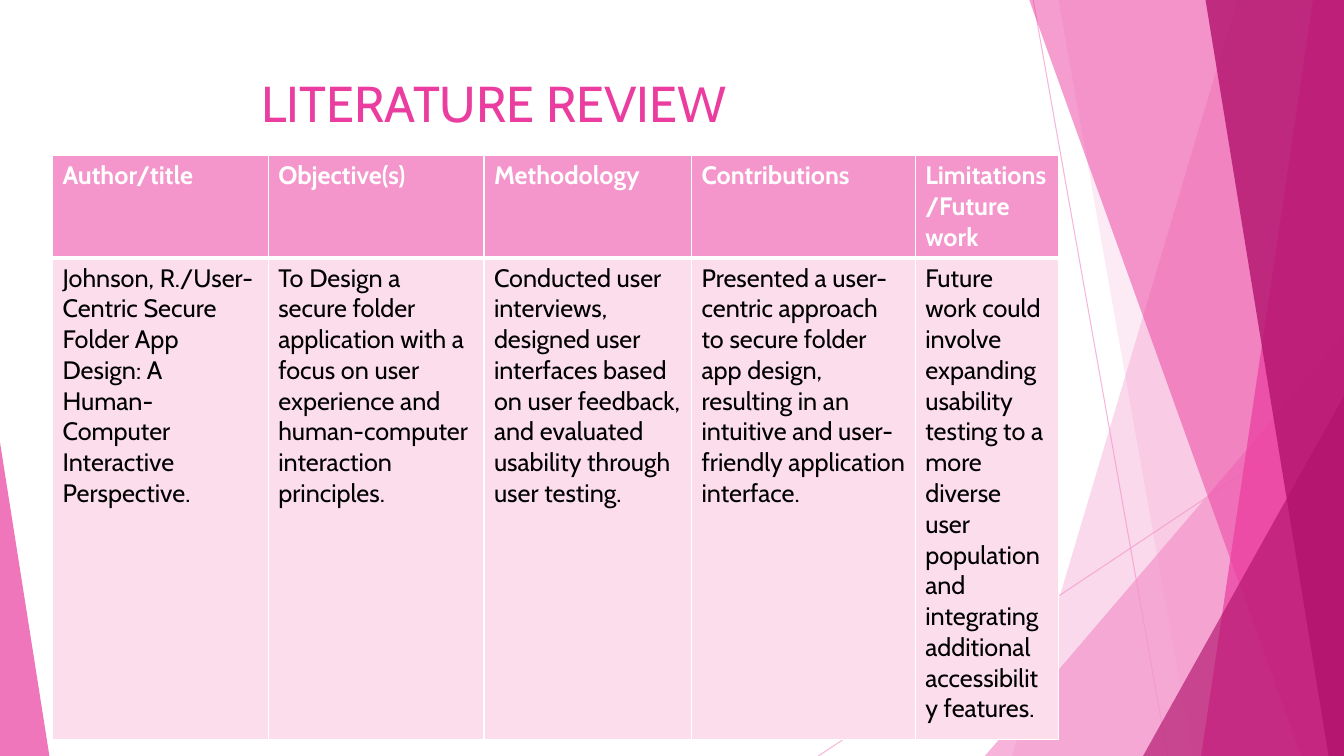
import lxml.etree
import pptx
import pptx.dml.color
import pptx.enum.shapes
import pptx.enum.text
import pptx.oxml
import pptx.oxml.ns
import pptx.util

Pt = pptx.util.Pt
RGBColor = pptx.dml.color.RGBColor
qn = pptx.oxml.ns.qn

WHITE = RGBColor(0xFF, 0xFF, 0xFF)
BLACK = RGBColor(0x00, 0x00, 0x00)
LIGHT_PINK = RGBColor(0xF4, 0x96, 0xCB)
PALE_PINK = RGBColor(0xFB, 0xDD, 0xEC)
HOT_PINK = RGBColor(0xEB, 0x3D, 0x9F)
MAGENTA = RGBColor(0xB2, 0x13, 0x6D)

WIDTH, HEIGHT = 960, 540
COLUMN_WIDTHS = [154.1, 154.1, 148.3, 159.8, 102.2]
ROW_HEIGHTS = [70.6, 344.2]
REVIEW = [
    ["Author/title", "Objective(s)", "Methodology", "Contributions", "Limitations/Future work"],
    [
        "Johnson, R./User-Centric Secure Folder App Design: A Human-Computer Interactive Perspective.",
        "To Design a secure folder application with a focus on user experience and "
        "human-computer interaction principles.",
        "Conducted user interviews, designed user interfaces based on user feedback, "
        "and evaluated usability through user testing.",
        "Presented a user-centric approach to secure folder app design, resulting in an "
        "intuitive and user-friendly application interface.",
        "Future work could involve expanding usability testing to a more diverse user "
        "population and integrating additional accessibility features.",
    ],
]


class ReviewSlide:
    """Holds the font and the current slide, and draws each kind of element on it."""

    def __init__(self, deck, font):
        self.font = font
        self.slide = deck.slides.add_slide(deck.slide_layouts[5])
        self.shapes = self.slide.shapes

    def fade(self, owner, opacity):
        for color in owner.iter(qn("a:srgbClr")):
            lxml.etree.SubElement(color, qn("a:alpha"), val=str(opacity * 1000))

    def paint(self, shape, color, opacity):
        shape.shadow.inherit = False
        shape.fill.solid()
        shape.fill.fore_color.rgb = color
        shape.line.fill.background()
        self.fade(shape.element.spPr, opacity)

    def ray(self, start, end):
        ray = self.shapes.add_connector(
            pptx.enum.shapes.MSO_CONNECTOR.STRAIGHT, *map(Pt, start + end))
        ray.line.color.rgb = LIGHT_PINK
        ray.line.width = Pt(0.75)
        self.fade(ray.element.spPr, 70)
        lxml.etree.SubElement(ray.element.spPr, qn("a:effectLst"))

    def facet(self, top_left, bottom_left, color, opacity):
        top = Pt(-0.7)
        outline = self.shapes.build_freeform(Pt(top_left), top)
        outline.add_line_segments([
            (Pt(WIDTH), top), (Pt(WIDTH), Pt(HEIGHT)), (Pt(bottom_left), Pt(HEIGHT))])
        self.paint(outline.convert_to_shape(), color, opacity)

    def corner(self, left, top, right, peak, color, opacity):
        corner = self.shapes.add_shape(
            pptx.enum.shapes.MSO_SHAPE.ISOSCELES_TRIANGLE,
            Pt(left), Pt(top), Pt(right - left), Pt(HEIGHT - top))
        corner.adjustments[0] = peak
        self.paint(corner, color, opacity)

    def wording(self, frame, words, size, color, bold=False):
        paragraph = frame.paragraphs[0]
        paragraph.alignment = pptx.enum.text.PP_ALIGN.LEFT
        run = paragraph.add_run()
        run.text = words
        run.font.name = self.font
        run.font.size = Pt(size)
        run.font.bold = bold
        run.font.color.rgb = color

    def title(self, words, left, top, width, height, inset):
        heading = self.shapes.title
        heading.left, heading.top, heading.width, heading.height = map(
            Pt, (left, top, width, height))
        frame = heading.text_frame
        frame.word_wrap = True
        frame.auto_size = pptx.enum.text.MSO_AUTO_SIZE.NONE
        frame.vertical_anchor = pptx.enum.text.MSO_ANCHOR.TOP
        frame.margin_left = Pt(inset)
        self.wording(frame, words, 36, HOT_PINK)
        heading.element.getparent().append(heading.element)

    def border(self, cell, bottom):
        properties = cell._tc.get_or_add_tcPr()
        for place, (side, width) in enumerate(zip("LRTB", (1, 1, 1, bottom))):
            edge = lxml.etree.Element(qn(f"a:ln{side}"), w=str(Pt(width)))
            fill = lxml.etree.SubElement(edge, qn("a:solidFill"))
            lxml.etree.SubElement(fill, qn("a:srgbClr"), val=str(WHITE))
            properties.insert(place, edge)

    def table(self, left, top, rows, widths, heights):
        review = self.shapes.add_table(
            len(rows), len(widths), Pt(left), Pt(top), Pt(sum(widths)), Pt(sum(heights))).table
        for column, width in zip(review.columns, widths):
            column.width = Pt(width)
        for number, (row, height) in enumerate(zip(rows, heights)):
            review.rows[number].height = Pt(height)
            header = number == 0
            for position, words in enumerate(row):
                cell = review.cell(number, position)
                cell.fill.solid()
                cell.fill.fore_color.rgb = LIGHT_PINK if header else PALE_PINK
                self.border(cell, 3 if header else 1)
                self.wording(cell.text_frame, words, 18, WHITE if header else BLACK, header)


def main():
    deck = pptx.Presentation()
    deck.slide_width, deck.slide_height = Pt(WIDTH), Pt(HEIGHT)
    review = ReviewSlide(deck, "Cabin")
    review.ray((738, 0), (834, HEIGHT))
    review.ray((WIDTH, 290), (584.6, HEIGHT))
    review.facet(884, 723, LIGHT_PINK, 36)
    review.facet(756, 852, LIGHT_PINK, 20)
    review.corner(703.5, 240, WIDTH, 1, LIGHT_PINK, 72)
    review.facet(735, 929.5, HOT_PINK, 50)
    review.facet(938, 858, HOT_PINK, 70)
    review.facet(861, 949, MAGENTA, 80)
    review.corner(816.5, 283, WIDTH, 1, MAGENTA, 66)
    review.corner(0, 316, 35.3, 0, HOT_PINK, 70)
    review.title("LITERATURE REVIEW", 53.3, 48.2, 676.8, 103.7, 133.5)
    review.table(37.5, 111, REVIEW, COLUMN_WIDTHS, ROW_HEIGHTS)
    deck.save("out.pptx")


if __name__ == "__main__":
    main()
